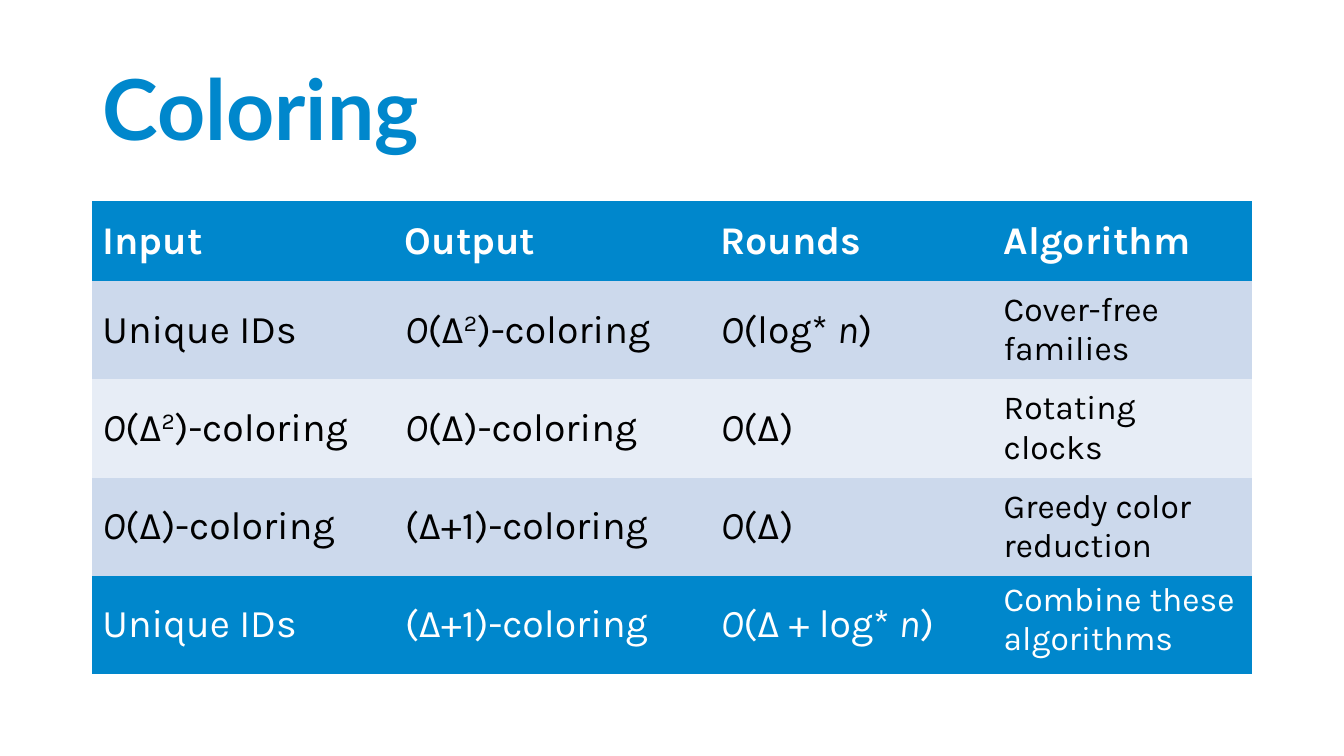
"""Build the slide that lists the steps of a fast distributed coloring algorithm."""
import pptx
import pptx.dml.color
import pptx.enum.text
import pptx.util

Pt = pptx.util.Pt
RGBColor = pptx.dml.color.RGBColor
MSO_ANCHOR = pptx.enum.text.MSO_ANCHOR
PP_ALIGN = pptx.enum.text.PP_ALIGN

BLUE = RGBColor(0x00, 0x87, 0xCC)
PALE_BLUE = RGBColor(0xCC, 0xD9, 0xEC)
PALEST_BLUE = RGBColor(0xE7, 0xED, 0xF6)
WHITE = RGBColor(0xFF, 0xFF, 0xFF)
BLACK = RGBColor(0x00, 0x00, 0x00)

PLAIN_TABLE = "{2D5ABB26-0587-4C30-8999-92F81FD0307C}"
LINE_BREAK = "/"
ITALIC = {"O", "n"}
SUPERSCRIPT = {"2"}

COLUMN_WIDTHS = [216, 225.5, 202.3, 184.2]
ROW_HEIGHTS = [57] + [70.2] * 4
STEPS = [
    ["Input", "Output", "Rounds", "Algorithm"],
    ["Unique IDs", "O|(Δ|2|)-coloring", "O|(log* |n|)", "Cover-free families"],
    ["O|(Δ|2|)-coloring", "O|(Δ)-coloring", "O|(Δ)", "Rotating|/|clocks"],
    ["O|(Δ)-coloring", "(Δ+1)-coloring", "O|(Δ)", "Greedy color reduction"],
    ["Unique IDs", "(Δ+1)-coloring", "O|(Δ + log* |n|)", "Combine these|/|algorithms"],
]
ROW_COLORS = [(BLUE, WHITE), (PALE_BLUE, BLACK), (PALEST_BLUE, BLACK),
              (PALE_BLUE, BLACK), (BLUE, WHITE)]


class Deck:
    """Holds the style and the current slide."""

    def __init__(self, width, height):
        self.title_font, self.table_font = "Lato", "Karla"
        self.presentation = pptx.Presentation()
        self.presentation.slide_width = Pt(width)
        self.presentation.slide_height = Pt(height)
        self.slide = self.presentation.slides.add_slide(self.presentation.slide_layouts[5])

    def apply(self, target, values):
        """Set each named attribute of the target."""
        for name, value in values.items():
            setattr(target, name, value)

    def add_text(self, paragraph, text, color, **font):
        """Add text whose pieces are parted by bars."""
        for piece in text.split("|"):
            if piece == LINE_BREAK:
                paragraph.add_line_break()
                continue
            run = paragraph.add_run()
            run.text = piece
            self.apply(run.font, {**font, "italic": piece in ITALIC})
            run.font.color.rgb = color
            if piece in SUPERSCRIPT:
                run.font._element.set("baseline", "30000")

    def title(self, text, left, top, width, height):
        """Place and fill the title placeholder."""
        heading = self.slide.shapes.title
        self.apply(heading, {"left": Pt(left), "top": Pt(top),
                             "width": Pt(width), "height": Pt(height)})
        self.apply(heading.text_frame, {"vertical_anchor": MSO_ANCHOR.MIDDLE, "word_wrap": True})
        line = heading.text_frame.paragraphs[0]
        self.apply(line, {"alignment": PP_ALIGN.LEFT, "line_spacing": 0.9})
        self.add_text(line, text, BLUE, name=self.title_font, size=Pt(60), bold=True)

    def table(self, rows, colors, left, top, widths, heights):
        """Add a table with one fill and text color for each row."""
        frame = self.slide.shapes.add_table(
            len(rows), len(widths), Pt(left), Pt(top), Pt(sum(widths)), Pt(sum(heights)))
        grid = frame.table
        grid._tbl.tblPr.find("{*}tableStyleId").text = PLAIN_TABLE
        for column, width in zip(grid.columns, widths):
            column.width = Pt(width)
        for row, height in zip(grid.rows, heights):
            row.height = Pt(height)
        for r, (texts, (fill, color)) in enumerate(zip(rows, colors)):
            for c, text in enumerate(texts):
                in_header, in_last_column = r == 0, c == len(widths) - 1
                cell = grid.cell(r, c)
                cell.fill.solid()
                cell.fill.fore_color.rgb = fill
                in_corner = in_last_column and r == len(rows) - 1
                cell.vertical_anchor = MSO_ANCHOR.TOP if in_corner else MSO_ANCHOR.MIDDLE
                size = 24 if in_last_column and not in_header else 28
                self.add_text(cell.text_frame.paragraphs[0], text, color,
                              name=self.table_font, size=Pt(size), bold=in_header)


def main():
    deck = Deck(960, 540)
    deck.title("Coloring", 66, 28.75, 828, 104.4)
    deck.table(STEPS, ROW_COLORS, 66, 143.75, COLUMN_WIDTHS, ROW_HEIGHTS)
    deck.presentation.save("out.pptx")


if __name__ == "__main__":
    main()
